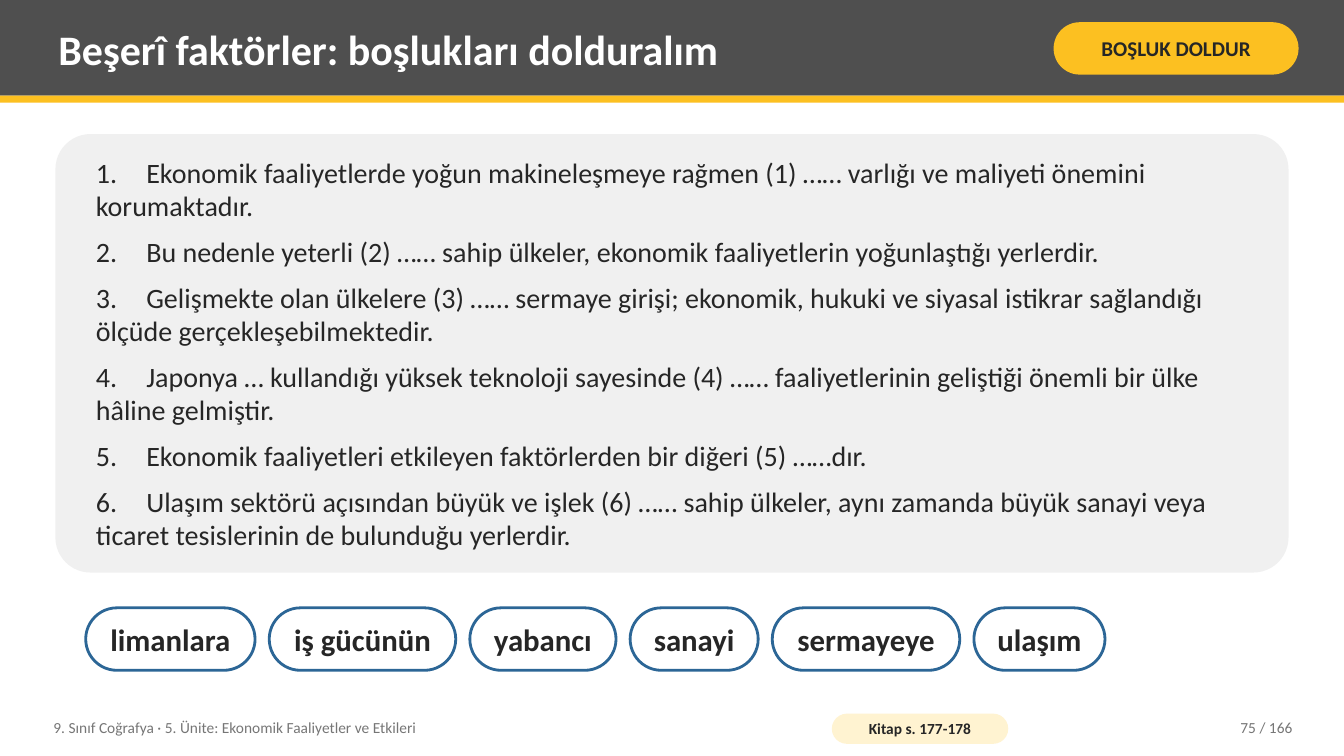
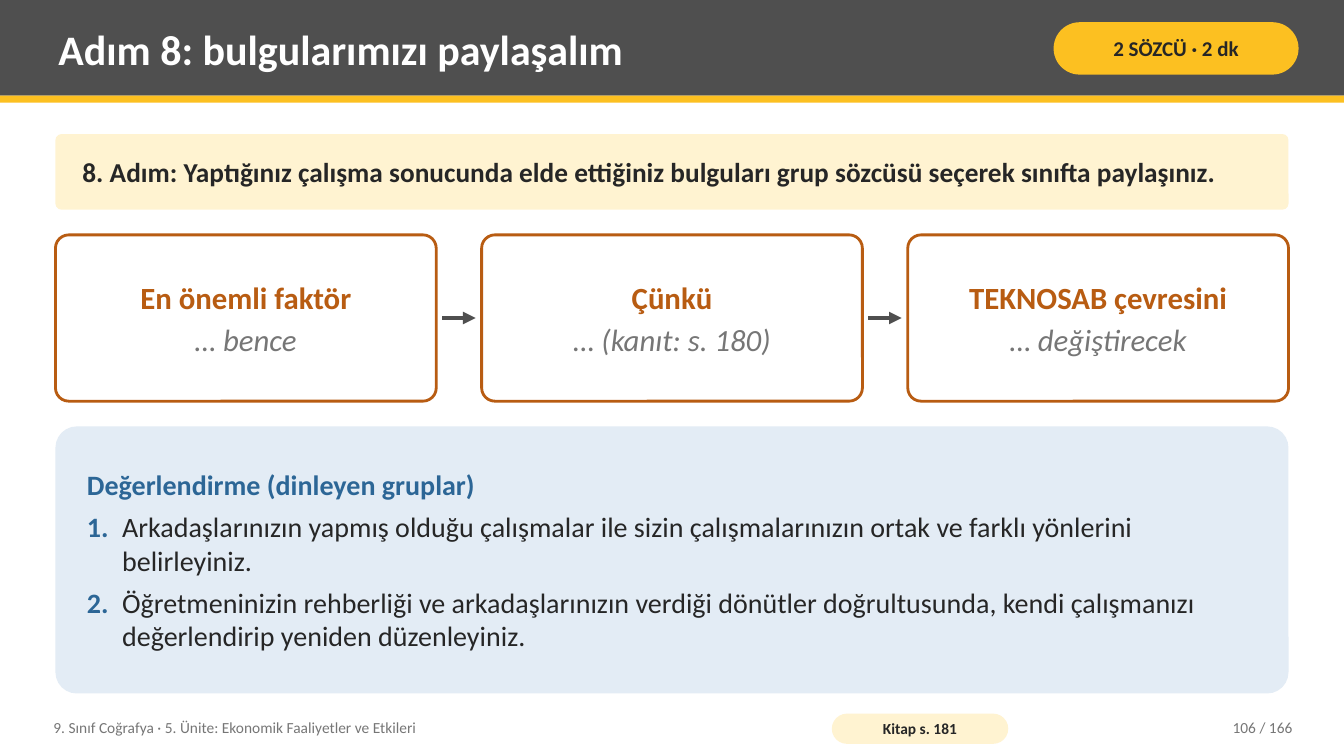
from dataclasses import dataclass

from lxml.etree import SubElement
from pptx import Presentation
from pptx.dml.color import RGBColor
from pptx.enum.shapes import MSO_CONNECTOR, MSO_SHAPE
from pptx.enum.text import MSO_ANCHOR, MSO_AUTO_SIZE, PP_ALIGN
from pptx.oxml.ns import qn
from pptx.util import Inches, Pt


@dataclass(frozen=True)
class Theme:
    # Colours
    band: str = "4F4F4F"
    accent: str = "FCC021"
    cream: str = "FFF3D1"
    panel: str = "F0F0F0"
    pale_blue: str = "E3ECF5"
    blue: str = "2C6696"
    rust: str = "B85C12"
    ink: str = "262626"
    muted: str = "767676"
    white: str = "FFFFFF"
    # Type
    font: str = "Calibri"
    title: float = 30
    badge: float = 15
    body: float = 20
    task: float = 19.5
    label: float = 22
    footer: float = 11


THEME = Theme()
WIDTH, HEIGHT = 13.33, 7.5
LEFT, CONTENT_WIDTH = 0.55, 12.23
CORNER, PILL = 0.08, 0.5
TEXT_MARGINS = (0.08, 0.04)


def span(text, size, color=THEME.ink, **style):
    return text, {"size": Pt(size), "name": THEME.font, **style}, color


def para(*spans, indent=None, tab=None, **layout):
    """Describe a paragraph; indent is a hanging indent and tab a stop, in inches."""
    return spans, indent, tab, layout


def write(frame, paras, margins=TEXT_MARGINS):
    side, edge = (Inches(value) for value in margins)
    settings = {"word_wrap": True, "auto_size": MSO_AUTO_SIZE.NONE,
                "vertical_anchor": MSO_ANCHOR.MIDDLE,
                "margin_left": side, "margin_right": side,
                "margin_top": edge, "margin_bottom": edge}
    for name, value in settings.items():
        setattr(frame, name, value)
    for index, (spans, indent, tab, layout) in enumerate(paras):
        paragraph = frame.paragraphs[0] if index == 0 else frame.add_paragraph()
        properties = paragraph._p.get_or_add_pPr()
        if indent is not None:
            properties.set("marL", str(Inches(indent)))
            properties.set("indent", str(-Inches(indent)))
        if tab is not None:
            stops = SubElement(properties, qn("a:tabLst"))
            SubElement(stops, qn("a:tab"), pos=str(Inches(tab)), algn="l")
        for name, value in {"alignment": PP_ALIGN.LEFT, **layout}.items():
            setattr(paragraph, name, value)
        for text, style, color in spans:
            run = paragraph.add_run()
            run.text = text
            for name, value in style.items():
                setattr(run.font, name, value)
            run.font.color.rgb = RGBColor.from_string(color)


def add_box(page, box, fill, corner=None, line=None, paras=(), margins=TEXT_MARGINS):
    kind = MSO_SHAPE.RECTANGLE if corner is None else MSO_SHAPE.ROUNDED_RECTANGLE
    shape = page.shapes.add_shape(kind, *map(Inches, box))
    shape.shadow.inherit = False
    shape.fill.solid()
    shape.fill.fore_color.rgb = RGBColor.from_string(fill)
    if corner is not None:
        shape.adjustments[0] = corner
    if line:
        shape.line.color.rgb = RGBColor.from_string(line)
        shape.line.width = Pt(2)
    else:
        shape.line.fill.background()
    if paras:
        write(shape.text_frame, paras, margins)
    return shape


def add_text(page, box, *paras):
    shape = page.shapes.add_textbox(*map(Inches, box))
    write(shape.text_frame, paras)
    return shape


def add_pill(page, box, text, size, fill, line=None, margins=(0.05, 0.02)):
    label = para(span(text, size, bold=True), alignment=PP_ALIGN.CENTER)
    add_box(page, box, fill, PILL, line, [label], margins)


def add_arrow(page, start, end, y):
    arrow = page.shapes.add_connector(
        MSO_CONNECTOR.STRAIGHT, *map(Inches, (start, y, end, y)))
    arrow.line.color.rgb = RGBColor.from_string(THEME.band)
    arrow.line.width = Pt(3)
    SubElement(arrow.line._get_or_add_ln(), qn("a:tailEnd"), type="triangle")
    SubElement(arrow._element.spPr, qn("a:effectLst"))


def furnish_layout(page):
    """Move the band, its rule and the course footer to the page's layout."""
    course = "9. Sınıf Coğrafya · 5. Ünite: Ekonomik Faaliyetler ve Etkileri"
    shared = [
        add_box(page, (0, 0, WIDTH, 0.95), THEME.band),
        add_box(page, (0, 0.95, WIDTH, 0.07), THEME.accent),
        add_text(page, (0.45, 7.04, 7.6, 0.36),
                 para(span(course, THEME.footer, THEME.muted))),
    ]
    tree = page.slide_layout.shapes.element
    for position, shape in enumerate(shared, start=2):
        tree.insert(position, shape._element)


def add_page(deck, title, badge, source, number):
    page = deck.slides.add_slide(deck.slide_layouts[5])
    if len(deck.slides) == 1:
        furnish_layout(page)
    # Title and badge
    heading = page.shapes.title
    place = dict(zip(("left", "top", "width", "height"), (0.5, 0.07, 9.75, 0.82)))
    for name, value in place.items():
        setattr(heading, name, Inches(value))
    write(heading.text_frame,
          [para(span(title, THEME.title, THEME.white, bold=True))])
    add_pill(page, (10.45, 0.22, 2.43, 0.52), badge, THEME.badge, THEME.accent)
    # Book reference and page number
    add_pill(page, (8.25, 7.08, 1.75, 0.3), source, THEME.footer, THEME.cream,
             margins=(0.04, 0))
    add_text(page, (11.3, 7.04, 1.6, 0.36),
             para(span(number, THEME.footer, THEME.muted), alignment=PP_ALIGN.RIGHT))
    return page


def add_sentences(page, box, sentences):
    last = len(sentences)
    paras = [para(span(f"{number}.\t{sentence}", THEME.body), indent=0, tab=0.34,
                  space_after=Pt(8.6 if number < last else 0))
             for number, sentence in enumerate(sentences, start=1)]
    add_box(page, box, THEME.panel, CORNER, paras=paras, margins=(0.3, 0.08))


def add_word_bank(page, left, top, words, height=0.62, gap=0.14):
    for word, width in words:
        add_pill(page, (left, top, width, height), word, THEME.label, THEME.white,
                 THEME.blue, margins=(0.08, 0.02))
        left += width + gap


def add_sentence_frames(page, box, frames, gap=0.45, clearance=0.06):
    left, top, total, height = box
    width = (total - gap * (len(frames) - 1)) / len(frames)
    for index, (heading, prompt) in enumerate(frames):
        x = left + index * (width + gap)
        if index:
            add_arrow(page, x - gap + clearance, x - clearance, top + height / 2)
        paras = [
            para(span(heading, THEME.label, THEME.rust, bold=True),
                 alignment=PP_ALIGN.CENTER, space_after=Pt(4)),
            para(span(prompt, THEME.label, THEME.muted, italic=True),
                 alignment=PP_ALIGN.CENTER),
        ]
        add_box(page, (x, top, width, height), THEME.white, CORNER, THEME.rust,
                paras, (0.14, 0.08))


def add_evaluation(page, box, heading, tasks):
    paras = [para(span(heading, THEME.body, THEME.blue, bold=True),
                  space_after=Pt(6))]
    for number, task in enumerate(tasks, start=1):
        paras.append(para(span(f"{number}.\t", THEME.body, THEME.blue, bold=True),
                          span(task, THEME.body), indent=0.35, tab=0,
                          space_after=Pt(6 if number < len(tasks) else 0)))
    add_box(page, box, THEME.pale_blue, CORNER, paras=paras, margins=(0.25, 0.08))


def build_gap_fill(deck):
    page = add_page(deck, "Beşerî faktörler: boşlukları dolduralım",
                    "BOŞLUK DOLDUR", "Kitap s. 177-178", "75 / 166")
    add_sentences(page, (LEFT, 1.33, CONTENT_WIDTH, 4.35), [
        "Ekonomik faaliyetlerde yoğun makineleşmeye rağmen (1) …… varlığı ve "
        "maliyeti önemini korumaktadır.",
        "Bu nedenle yeterli (2) …… sahip ülkeler, ekonomik faaliyetlerin "
        "yoğunlaştığı yerlerdir.",
        "Gelişmekte olan ülkelere (3) …… sermaye girişi; ekonomik, hukuki ve "
        "siyasal istikrar sağlandığı ölçüde gerçekleşebilmektedir.",
        "Japonya … kullandığı yüksek teknoloji sayesinde (4) …… faaliyetlerinin "
        "geliştiği önemli bir ülke hâline gelmiştir.",
        "Ekonomik faaliyetleri etkileyen faktörlerden bir diğeri (5) ……dır.",
        "Ulaşım sektörü açısından büyük ve işlek (6) …… sahip ülkeler, aynı "
        "zamanda büyük sanayi veya ticaret tesislerinin de bulunduğu yerlerdir.",
    ])
    add_word_bank(page, 0.85, 6.03, [
        ("limanlara", 1.68), ("iş gücünün", 1.85), ("yabancı", 1.45),
        ("sanayi", 1.27), ("sermayeye", 1.86), ("ulaşım", 1.3)])


def build_sharing(deck):
    page = add_page(deck, "Adım 8: bulgularımızı paylaşalım",
                    "2 SÖZCÜ · 2 dk", "Kitap s. 181", "106 / 166")
    # Task strip
    task = ("8. Adım: Yaptığınız çalışma sonucunda elde ettiğiniz bulguları grup "
            "sözcüsü seçerek sınıfta paylaşınız.")
    add_box(page, (LEFT, 1.33, CONTENT_WIDTH, 0.75), THEME.cream, CORNER,
            paras=[para(span(task, THEME.task, bold=True))], margins=(0.25, 0.08))
    add_sentence_frames(page, (LEFT, 2.33, CONTENT_WIDTH, 1.65), [
        ("En önemli faktör", "… bence"),
        ("Çünkü", "… (kanıt: s. 180)"),
        ("TEKNOSAB çevresini", "… değiştirecek")])
    add_evaluation(
        page, (LEFT, 4.23, CONTENT_WIDTH, 2.65), "Değerlendirme (dinleyen gruplar)", [
            "Arkadaşlarınızın yapmış olduğu çalışmalar ile sizin çalışmalarınızın "
            "ortak ve farklı yönlerini belirleyiniz.",
            "Öğretmeninizin rehberliği ve arkadaşlarınızın verdiği dönütler "
            "doğrultusunda, kendi çalışmanızı değerlendirip yeniden düzenleyiniz."])


def main():
    deck = Presentation()
    deck.slide_width, deck.slide_height = Inches(WIDTH), Inches(HEIGHT)
    build_gap_fill(deck)
    build_sharing(deck)
    deck.save("out.pptx")


if __name__ == "__main__":
    main()
